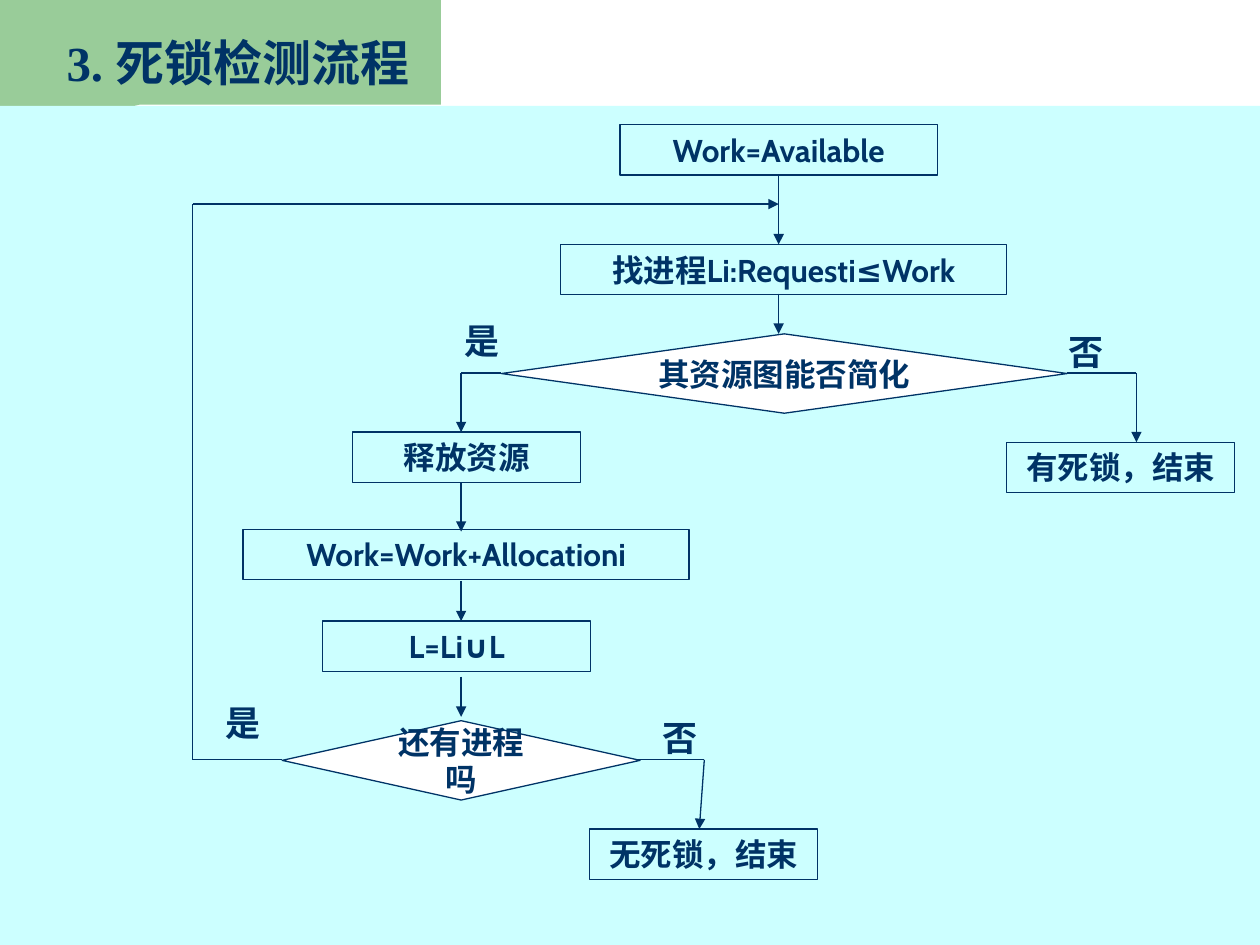
from pptx import Presentation
from pptx.dml.color import RGBColor
from pptx.enum.shapes import MSO_CONNECTOR, MSO_SHAPE
from pptx.enum.text import MSO_ANCHOR, PP_ALIGN
from pptx.oxml.ns import qn
from pptx.util import Inches, Pt
from lxml.etree import SubElement

COLORS = {"navy": "003366", "green": "99CC99", "aqua": "CCFFFF", "white": "FFFFFF"}

presentation = Presentation()
presentation.slide_width = Inches(10)
presentation.slide_height = Inches(7.5)
slide = presentation.slides.add_slide(presentation.slide_layouts[6])
shapes = slide.shapes


def style_shape(shape, fill=None, outlined=False):
    shape.shadow.inherit = False
    if fill:
        shape.fill.solid()
        shape.fill.fore_color.rgb = RGBColor.from_string(COLORS[fill])
    else:
        shape.fill.background()
    if outlined:
        shape.line.color.rgb = RGBColor.from_string(COLORS["navy"])
        shape.line.width = Pt(0.75)
    else:
        shape.line.fill.background()


def write_text(shape, text, size=18, font="Cabin", align=PP_ALIGN.CENTER,
               anchor=MSO_ANCHOR.MIDDLE, wrap=True):
    frame = shape.text_frame
    frame.word_wrap = wrap
    frame.vertical_anchor = anchor
    paragraph = frame.paragraphs[0]
    paragraph.alignment = align
    run = paragraph.add_run()
    run.text = text
    run.font.name = font
    run.font.size = Pt(size)
    run.font.bold = True
    run.font.color.rgb = RGBColor.from_string(COLORS["navy"])


# Background: green bar and header tab with a curved corner, aqua panel
green_bar = shapes.add_shape(MSO_SHAPE.RECTANGLE, 0, 0, Inches(0.83), Inches(7.5))
style_shape(green_bar, "green")

tab_points = [(3.5, 0), (3.5, 0.83), (1.11, 0.83), (1.03, 0.85), (0.93, 0.92),
              (0.86, 1.04), (0.83, 1.16), (0.83, 1.28), (0.5, 1.28)]
builder = shapes.build_freeform(Inches(0.5), 0)
builder.add_line_segments([(Inches(x), Inches(y)) for x, y in tab_points], close=True)
style_shape(builder.convert_to_shape(), "green")

panel = shapes.add_shape(MSO_SHAPE.RECTANGLE, 0, Inches(0.84), Inches(10), Inches(6.66))
style_shape(panel, "aqua")

# Title
title = shapes.add_textbox(Inches(0.43), Inches(0.21), Inches(3.94), Inches(0.57))
write_text(title, "3. 死锁检测流程", size=28, font="Times New Roman",
           align=PP_ALIGN.LEFT, anchor=MSO_ANCHOR.TOP)

# Process boxes: text, left, top, width
boxes = [
    ("Work=Available", 4.92, 0.99, 2.52),
    ("找进程Li:Requesti≤Work", 4.45, 1.94, 3.54),
    ("有死锁，结束", 7.99, 3.51, 1.81),
    ("释放资源", 2.8, 3.43, 1.81),
    ("Work=Work+Allocationi", 1.93, 4.2, 3.54),
    ("L=Li∪L", 2.56, 4.93, 2.13),
    ("无死锁，结束", 4.68, 6.58, 1.81),
]
for text, left, top, width in boxes:
    box = shapes.add_shape(MSO_SHAPE.RECTANGLE, Inches(left), Inches(top),
                           Inches(width), Inches(0.4))
    style_shape(box, outlined=True)
    write_text(box, text)

# Decisions: text, left, top, width
decisions = [
    ("其资源图能否简化", 3.98, 2.65, 4.49),
    ("还有进程吗", 2.24, 5.72, 2.84),
]
for text, left, top, width in decisions:
    diamond = shapes.add_shape(MSO_SHAPE.FLOWCHART_DECISION, Inches(left), Inches(top),
                               Inches(width), Inches(0.63))
    style_shape(diamond, "white", outlined=True)
    write_text(diamond, text)

# Branch labels
for text, left, top in [("否", 8.38, 2.57), ("是", 3.59, 2.49),
                        ("否", 5.16, 5.64), ("是", 1.69, 5.52)]:
    label = shapes.add_textbox(Inches(left), Inches(top), Inches(0.48), Inches(0.44))
    write_text(label, text, size=20, align=PP_ALIGN.LEFT,
               anchor=MSO_ANCHOR.TOP, wrap=False)

# Flow routes: each ends in an arrowhead on its last segment
main_x, left_x, loop_x = 6.18, 3.66, 1.53
routes = [
    [(main_x, 1.39), (main_x, 1.94)],
    [(main_x, 2.33), (main_x, 2.65)],
    [(8.47, 2.96), (9.02, 2.96), (9.02, 3.51)],
    [(3.98, 2.96), (left_x, 2.96), (left_x, 3.43)],
    [(left_x, 3.83), (left_x, 4.22)],
    [(left_x, 4.61), (left_x, 4.93)],
    [(left_x, 5.37), (left_x, 5.69)],
    [(5.04, 6.03), (5.59, 6.03), (5.55, 6.58)],
    [(2.24, 6.03), (loop_x, 6.03), (loop_x, 1.62), (main_x, 1.62)],
]
for route in routes:
    for start, end in zip(route, route[1:]):
        connector = shapes.add_connector(MSO_CONNECTOR.STRAIGHT,
                                         *[Inches(value) for value in start + end])
        connector.line.color.rgb = RGBColor.from_string(COLORS["navy"])
        connector.line.width = Pt(0.75)
        if end == route[-1]:
            SubElement(connector.line._get_or_add_ln(), qn("a:tailEnd"), type="triangle")
        SubElement(connector._element.spPr, qn("a:effectLst"))

presentation.save("out.pptx")
